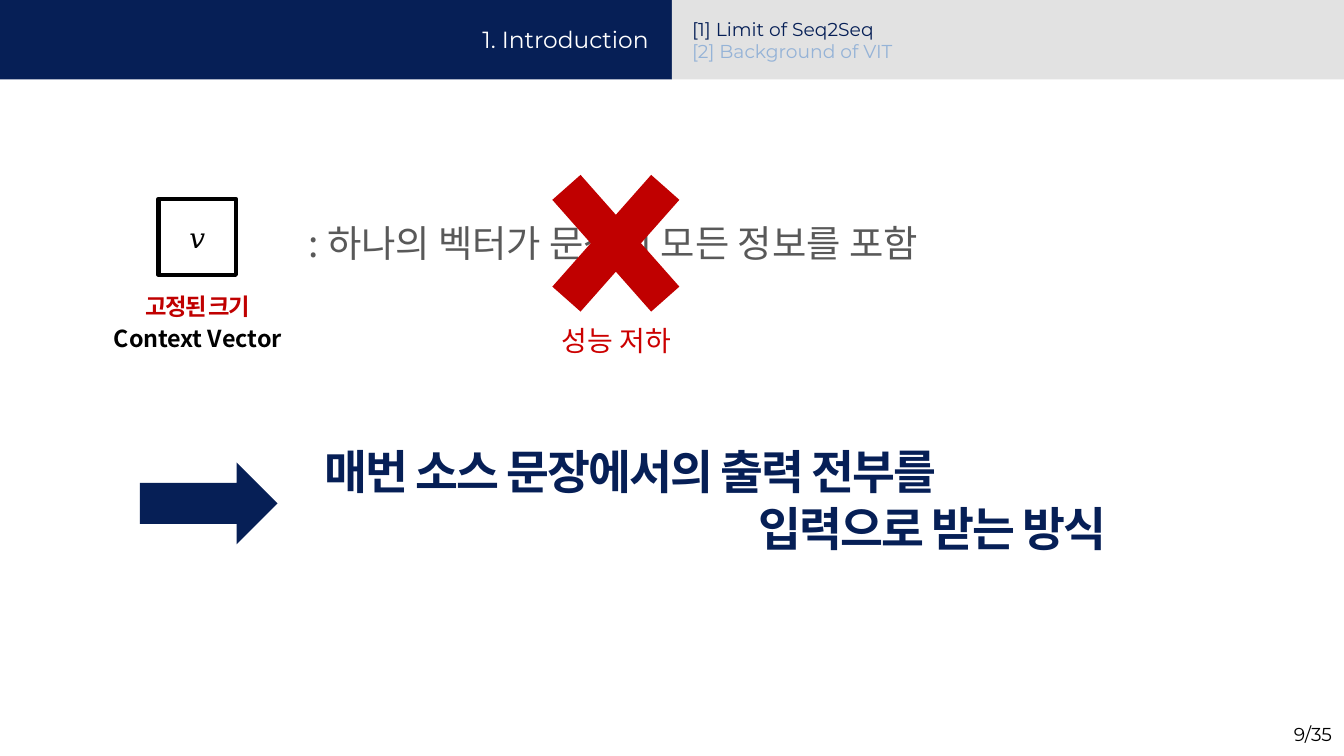
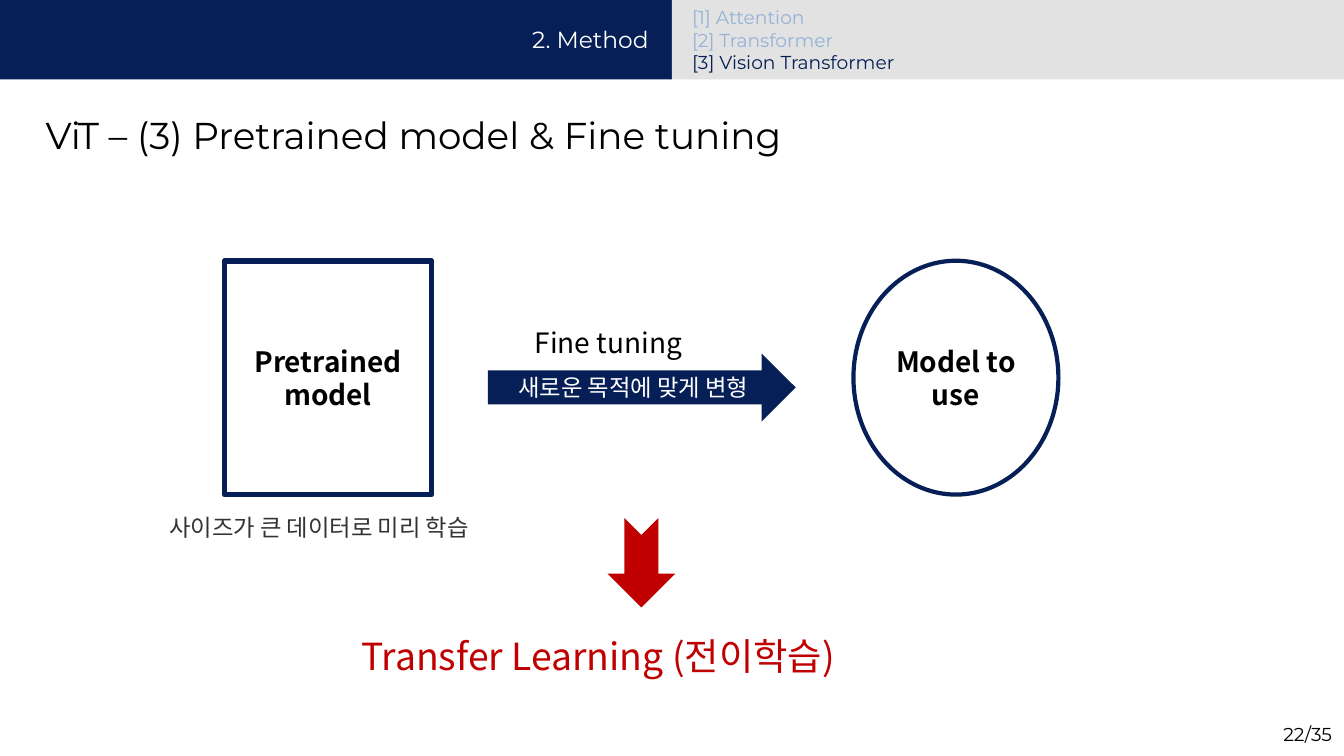
from pptx import Presentation
from pptx.dml.color import RGBColor
from pptx.enum.shapes import MSO_SHAPE
from pptx.enum.text import MSO_ANCHOR, MSO_AUTO_SIZE, PP_ALIGN
from pptx.oxml.ns import qn
from pptx.util import Inches, Pt

RECT, OVAL = MSO_SHAPE.RECTANGLE, MSO_SHAPE.OVAL
ARROW, NOTCH = MSO_SHAPE.RIGHT_ARROW, MSO_SHAPE.NOTCHED_RIGHT_ARROW
CROSS = MSO_SHAPE.MATH_MULTIPLY
LEFT, MID, RIGHT = PP_ALIGN.LEFT, PP_ALIGN.CENTER, PP_ALIGN.RIGHT
CENTER, GROW = MSO_ANCHOR.MIDDLE, MSO_AUTO_SIZE.SHAPE_TO_FIT_TEXT

COLORS = {
    "navy": "061F56", "band": "E2E2E2", "pale": "95B3D7",
    "white": "FFFFFF", "black": "000000", "dark": "333333",
    "gray": "595959", "red": "C00000", "alert": "CC0000",
}
HEAD, BODY, MATH = "Montserrat", "Noto Sans CJK KR", "Cambria"
PAGES = 35
BAND = 1.18


def color(name):
    return RGBColor.from_string(COLORS[name])


def add_run(para, text, size, tint, face=BODY, bold=False, gap=None):
    """Add one styled run; gap is the letter spacing in points."""
    run = para.add_run()
    run.text = text
    font = run.font
    font.size, font.name, font.bold = Pt(size), face, bold
    font.color.rgb = color(tint)
    props = font._element
    props.makeelement(qn("a:ea"), {})
    east = props.makeelement(qn("a:ea"), {"typeface": face})
    props.append(east)
    if gap is not None:
        props.set("spc", str(round(gap * 100)))


def add_text(slide, box, lines, align=LEFT, inset=None):
    """Add a text box; each line is a list of run settings."""
    frame = slide.shapes.add_textbox(*map(Inches, box)).text_frame
    frame.word_wrap = True
    frame.auto_size = GROW
    if inset is not None:
        frame.margin_left = frame.margin_right = frame.margin_bottom = 0
        frame.margin_top = Inches(inset)
    for i, runs in enumerate(lines):
        para = frame.add_paragraph() if i else frame.paragraphs[0]
        para.alignment = align
        for run in runs:
            add_run(para, *run)
    return frame


def add_shape(slide, kind, box, fill=None, line=None, label=None):
    """Add a preset shape; line is (colour, width), label a run."""
    shape = slide.shapes.add_shape(kind, *map(Inches, box))
    shape.shadow.inherit = False
    if fill:
        shape.fill.solid()
        shape.fill.fore_color.rgb = color(fill)
    else:
        shape.fill.background()
    if line:
        shape.line.color.rgb = color(line[0])
        shape.line.width = Pt(line[1])
    else:
        shape.line.fill.background()
    if label:
        frame = shape.text_frame
        frame.word_wrap = True
        frame.vertical_anchor = CENTER
        frame.paragraphs[0].alignment = MID
        add_run(frame.paragraphs[0], *label)
    return shape


def add_page(deck, number, part, topics, active, top):
    """Start a slide with its page number, bands and topic list."""
    slide = deck.slides.add_slide(deck.slide_layouts[6])
    add_text(slide, (18.25, 10.71, 1.67, 0.44),
             [[(f"{number}/{PAGES}", 20, "black", HEAD)]], RIGHT)
    for left, fill in ((0, "navy"), (10, "band")):
        add_shape(slide, RECT, (left, 0, 10, BAND), fill)
    add_text(slide, (6.67, 0.33, 3.08, 0.52),
             [[(part, 25, "white", HEAD)]], RIGHT)
    lines = [[(f"[{i}] {topic}", 20, "navy" if i == active else "pale", HEAD)]
             for i, topic in enumerate(topics, 1)]
    add_text(slide, (10.2, top, 4.47, BAND - 2 * top), lines)
    return slide


def build_limit(deck):
    slide = add_page(deck, 9, "1. Introduction",
                     ["Limit of Seq2Seq", "Background of VIT"], 1, 0.21)
    # Proposed approach
    claim = add_text(slide, (4.83, 6.58, 11.64, 1.71), [
        [("매번 소스 문장에서의 출력 전부를", 50, "navy", BODY, True, -2)],
        [("입력으로 받는 방식", 50, "navy", BODY, True, -2)],
    ], inset=0.01)
    claim.paragraphs[1].alignment = RIGHT
    claim.paragraphs[1].space_before = Pt(0.9)
    # Context vector
    note = add_text(slide, (1.45, 4.28, 2.99, 0.97), [
        [("고정된 크기", 25, "red", BODY, True, -1.8)],
        [("Context ", 25, "black", BODY, True, -0.1),
         ("V", 25, "black", BODY, True, -1.9),
         ("ector", 25, "black", BODY, True, 0)],
    ], MID, 0.07)
    note.paragraphs[1].space_before = Pt(4.3)
    add_shape(slide, RECT, (2.36, 2.96, 1.15, 1.13), line=("black", 4.5),
              label=("𝑣", 30, "black", MATH, True))
    add_text(slide, (4.49, 3.23, 10.34, 0.77),
             [[(": 하나의 벡터가 문장의 모든 정보를 포함", 40, "gray")]])
    add_shape(slide, ARROW, (2.08, 6.88, 2.05, 1.22), "navy")
    # Drawback
    cross = add_shape(slide, CROSS, (7.75, 2.02, 2.83, 3.2), "red")
    cross.adjustments[0] = 0.198
    add_text(slide, (7.91, 4.76, 2.52, 0.61),
             [[("성능 저하", 30, "alert")]], MID)


def build_tuning(deck):
    slide = add_page(deck, 22, "2. Method",
                     ["Attention", "Transformer", "Vision Transformer"],
                     3, 0.04)
    add_text(slide, (0.58, 1.62, 12.86, 0.77),
             [[("ViT – (3) Pretrained model & Fine tuning",
                40, "black", HEAD)]])
    # Captions
    add_text(slide, (7.86, 4.79, 3.08, 0.61),
             [[("Fine tuning", 30, "black")]])
    add_text(slide, (2.42, 7.59, 5.04, 0.52),
             [[("사이즈가 큰 데이터로 미리 학습", 25, "dark")]])
    # Model flow
    add_shape(slide, ARROW, (7.26, 5.26, 4.58, 1.01), "navy",
              label=("새로운 목적에 맞게 변형", 25, "white"))
    models = (
        (RECT, 3.34, 3.08, 6, "Pretrained model"),
        (OVAL, 12.7, 3.05, 4.5, "Model to use"),
    )
    for kind, left, width, weight, name in models:
        add_shape(slide, kind, (left, 3.88, width, 3.48),
                  line=("navy", weight),
                  label=(name, 30, "black", BODY, True))
    # Conclusion
    down = add_shape(slide, NOTCH, (8.88, 7.87, 1.33, 1.01), "red")
    down.rotation = 90
    add_text(slide, (5.28, 9.38, 9.25, 0.77),
             [[("Transfer Learning (전이학습)", 40, "red")]])


def main():
    deck = Presentation()
    deck.slide_width, deck.slide_height = Inches(20), Inches(11.25)
    build_limit(deck)
    build_tuning(deck)
    deck.save("out.pptx")


if __name__ == "__main__":
    main()
